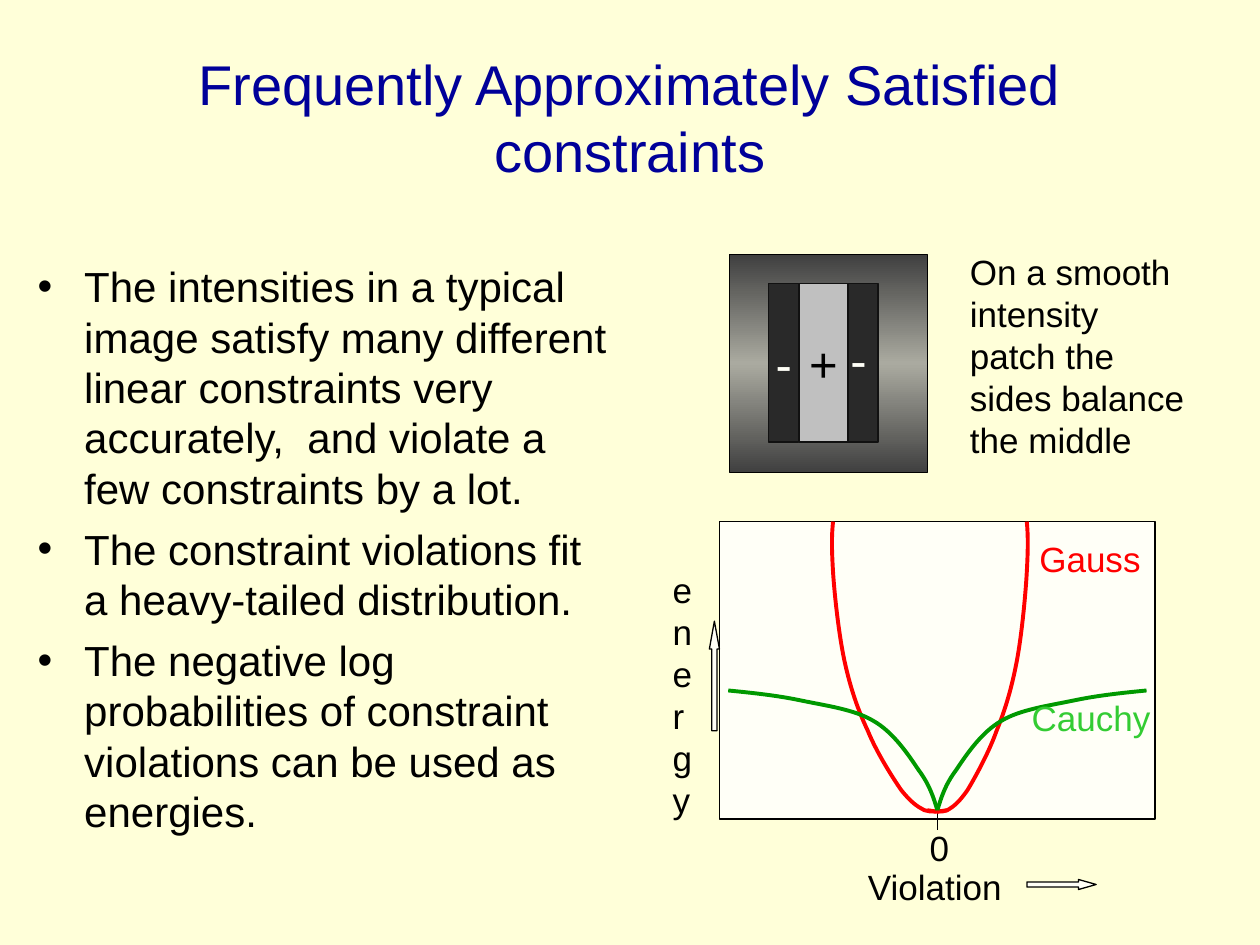
import copy
from dataclasses import dataclass

import lxml.etree
import pptx
import pptx.dml.color
import pptx.enum.shapes
import pptx.enum.text
import pptx.oxml
import pptx.oxml.ns
import pptx.util
from pptx.util import Inches

SHAPE = pptx.enum.shapes.MSO_SHAPE
ALIGN = pptx.enum.text.PP_ALIGN
ANCHOR = pptx.enum.text.MSO_ANCHOR
Point = tuple[float, float]


@dataclass(frozen=True)
class Theme:
    font: str = "Arial"
    background: str = "FFFFD9"
    title: str = "000099"
    ink: str = "000000"
    paper: str = "FFFFF7"
    gauss: str = "FF0000"
    cauchy: str = "009900"
    cauchy_label: str = "33CC33"
    patch_edge: str = "404040"
    patch_middle: str = "AAAAA0"
    side: str = "292929"
    centre: str = "C0C0C0"
    filter_line: str = "111111"
    title_size: int = 32
    body_size: int = 24
    label_size: int = 20
    sign_size: int = 28


THEME = Theme()


@dataclass(frozen=True)
class Label:
    text: str
    left: float
    top: float
    width: float
    height: float
    color: str = THEME.ink
    size: int = THEME.label_size


@dataclass(frozen=True)
class Block:
    left: float
    top: float
    width: float
    height: float
    fill: str = THEME.paper
    line: str = THEME.ink
    weight: float = 0.75
    kind: SHAPE = SHAPE.RECTANGLE
    adjustments: tuple[float, ...] = ()


@dataclass(frozen=True)
class Curve:
    knots: tuple[Point, ...]
    color: str


AXIS = 7.44
GAUSS_START = 7.36
GAUSS_KNOTS = (
    (7.36, 6.43), (7.42, 6.44), (7.47, 6.45), (7.52, 6.43),
    (7.57, 6.40), (7.61, 6.37), (7.68, 6.27),
    (7.74, 6.17), (7.85, 5.97), (7.91, 5.80),
    (7.98, 5.63), (8.03, 5.46), (8.07, 5.25),
    (8.11, 5.04), (8.14, 4.72), (8.15, 4.54),
    (8.16, 4.35), (8.16, 4.25), (8.15, 4.14),
)
CAUCHY_KNOTS = (
    (7.44, 6.43), (7.47, 6.33), (7.50, 6.23), (7.59, 6.11),
    (7.67, 5.99), (7.79, 5.81), (7.95, 5.72),
    (8.10, 5.63), (8.33, 5.60), (8.52, 5.56),
    (8.71, 5.52), (8.90, 5.50), (9.10, 5.48),
)
BULLETS = (
    "The intensities in a typical image satisfy many different linear constraints "
    "very accurately,  and violate a few constraints by a lot.",
    "The constraint violations fit a heavy-tailed distribution.",
    "The negative log probabilities of constraint violations can be used as energies.",
)


def rgb(value: str) -> pptx.dml.color.RGBColor:
    return pptx.dml.color.RGBColor.from_string(value)


def add_bullet(para) -> None:
    properties = para._p.get_or_add_pPr()
    properties.set("marL", str(Inches(0.37)))
    properties.set("indent", str(Inches(-0.37)))
    for tag, name, value in (("a:buFont", "typeface", THEME.font), ("a:buChar", "char", "•")):
        lxml.etree.SubElement(properties, pptx.oxml.ns.qn(tag)).set(name, value)


def write_text(shape, *texts: str, size: int, color: str = THEME.ink, align=ALIGN.LEFT,
               anchor=ANCHOR.TOP, wrap: bool = True, bullet: bool = False) -> None:
    frame = shape.text_frame
    frame.word_wrap = wrap
    frame.vertical_anchor = anchor
    for index, text in enumerate(texts):
        para = frame.add_paragraph() if index else frame.paragraphs[0]
        para.alignment = align
        if index:
            para.space_before = pptx.util.Pt(6)
        if bullet:
            add_bullet(para)
        span = para.add_run()
        span.text = text
        span.font.name = THEME.font
        span.font.size = pptx.util.Pt(size)
        span.font.color.rgb = rgb(color)


def add_box(page, left: float, top: float, width: float, height: float):
    return page.shapes.add_textbox(Inches(left), Inches(top), Inches(width), Inches(height))


def add_label(page, label: Label) -> None:
    box = add_box(page, label.left, label.top, label.width, label.height)
    write_text(box, label.text, size=label.size, color=label.color)


def add_block(page, block: Block):
    shape = page.shapes.add_shape(block.kind, Inches(block.left), Inches(block.top),
                                  Inches(block.width), Inches(block.height))
    shape.shadow.inherit = False
    shape.fill.solid()
    shape.fill.fore_color.rgb = rgb(block.fill)
    shape.line.color.rgb = rgb(block.line)
    shape.line.width = pptx.util.Pt(block.weight)
    for index, value in enumerate(block.adjustments):
        shape.adjustments[index] = value
    return shape


def shade_patch(shape) -> None:
    shape.fill.gradient()
    shape.fill.gradient_angle = 90
    first, last = shape.fill.gradient_stops
    for stop, position in ((first, 0), (last, 1)):
        stop.color.rgb = rgb(THEME.patch_edge)
        stop.position = position
    first._gs.addnext(copy.deepcopy(first._gs))
    middle = shape.fill.gradient_stops[1]
    middle.color.rgb = rgb(THEME.patch_middle)
    middle.position = 0.5


def bend_segments(shape) -> None:
    segments = shape._element.xpath(".//a:lnTo")
    for start in range(0, len(segments), 3):
        bend = lxml.etree.Element(pptx.oxml.ns.qn("a:cubicBezTo"))
        segments[start].addprevious(bend)
        for segment in segments[start:start + 3]:
            bend.append(segment[0])
            segment.getparent().remove(segment)


def add_curve(page, curve: Curve) -> None:
    points = [(Inches(x), Inches(y)) for x, y in curve.knots]
    builder = page.shapes.build_freeform(*points[0], scale=1.0)
    builder.add_line_segments(points[1:], close=False)
    shape = builder.convert_to_shape()
    bend_segments(shape)
    shape.shadow.inherit = False
    shape.fill.background()
    shape.line.color.rgb = rgb(curve.color)
    shape.line.width = pptx.util.Pt(2.25)


def add_tick(page) -> None:
    tick = page.shapes.add_connector(pptx.enum.shapes.MSO_CONNECTOR.STRAIGHT, Inches(AXIS),
                                     Inches(6.43), Inches(AXIS), Inches(6.59))
    tick.line.color.rgb = rgb(THEME.ink)
    tick.line.width = pptx.util.Pt(0.75)
    tick._element.spPr.append(
        pptx.oxml.parse_xml(f'<a:effectLst {pptx.oxml.ns.nsdecls("a")}/>'))


def add_plot(page) -> None:
    add_block(page, Block(5.71, 4.14, 3.46, 2.36, weight=1))
    add_label(page, Label("Violation", 6.79, 6.82, 1.83, 0.44))
    add_block(page, Block(8.15, 6.98, 0.55, 0.08, kind=SHAPE.RIGHT_ARROW,
                          adjustments=(0.5, 1.763)))
    add_tick(page)
    add_label(page, Label("0", 7.28, 6.51, 0.39, 0.44))
    gauss_left = tuple((7.52 - 1.15 * (x - GAUSS_START), y) for x, y in GAUSS_KNOTS)
    cauchy_left = tuple((2 * AXIS - x, y) for x, y in CAUCHY_KNOTS)
    for knots in (GAUSS_KNOTS, gauss_left):
        add_curve(page, Curve(knots, THEME.gauss))
    add_label(page, Label("Gauss", 8.15, 4.22, 1.02, 0.44, THEME.gauss))
    for knots in (CAUCHY_KNOTS, cauchy_left):
        add_curve(page, Curve(knots, THEME.cauchy))
    add_label(page, Label("Cauchy", 8.09, 5.48, 1.24, 0.44, THEME.cauchy_label))
    add_label(page, Label("energy", 5.24, 4.46, 0.39, 2.1))
    add_block(page, Block(5.63, 4.93, 0.08, 0.87, kind=SHAPE.UP_ARROW,
                          adjustments=(0.5, 2.778)))


def add_filter(page) -> None:
    shade_patch(add_block(page, Block(5.79, 2.02, 1.57, 1.73)))
    left = 6.1
    for width, fill, sign, color in ((0.24, THEME.side, "-", THEME.paper),
                                     (0.39, THEME.centre, "+", THEME.ink),
                                     (0.24, THEME.side, "", THEME.paper)):
        strip = add_block(page, Block(left, 2.25, width, 1.26, fill, THEME.filter_line))
        if sign:
            write_text(strip, sign, size=THEME.sign_size, color=color, align=ALIGN.CENTER,
                       anchor=ANCHOR.MIDDLE, wrap=False)
        left += width
    add_label(page, Label("On a smooth intensity patch the sides balance the middle",
                          7.6, 1.94, 1.97, 1.77))
    add_label(page, Label("-", 6.65, 2.57, 0.39, 0.57, THEME.paper, THEME.sign_size))


def main() -> None:
    deck = pptx.Presentation()
    deck.slide_width, deck.slide_height = Inches(10), Inches(7.5)
    page = deck.slides.add_slide(deck.slide_layouts[6])
    page.background.fill.solid()
    page.background.fill.fore_color.rgb = rgb(THEME.background)
    write_text(add_box(page, 0.5, 0.3, 9, 1.25), "Frequently Approximately Satisfied constraints",
               size=THEME.title_size, color=THEME.title, align=ALIGN.CENTER,
               anchor=ANCHOR.MIDDLE)
    write_text(add_box(page, 0.2, 2.02, 4.75, 4.95), *BULLETS, size=THEME.body_size, bullet=True)
    add_plot(page)
    add_filter(page)
    deck.save("out.pptx")


if __name__ == "__main__":
    main()
